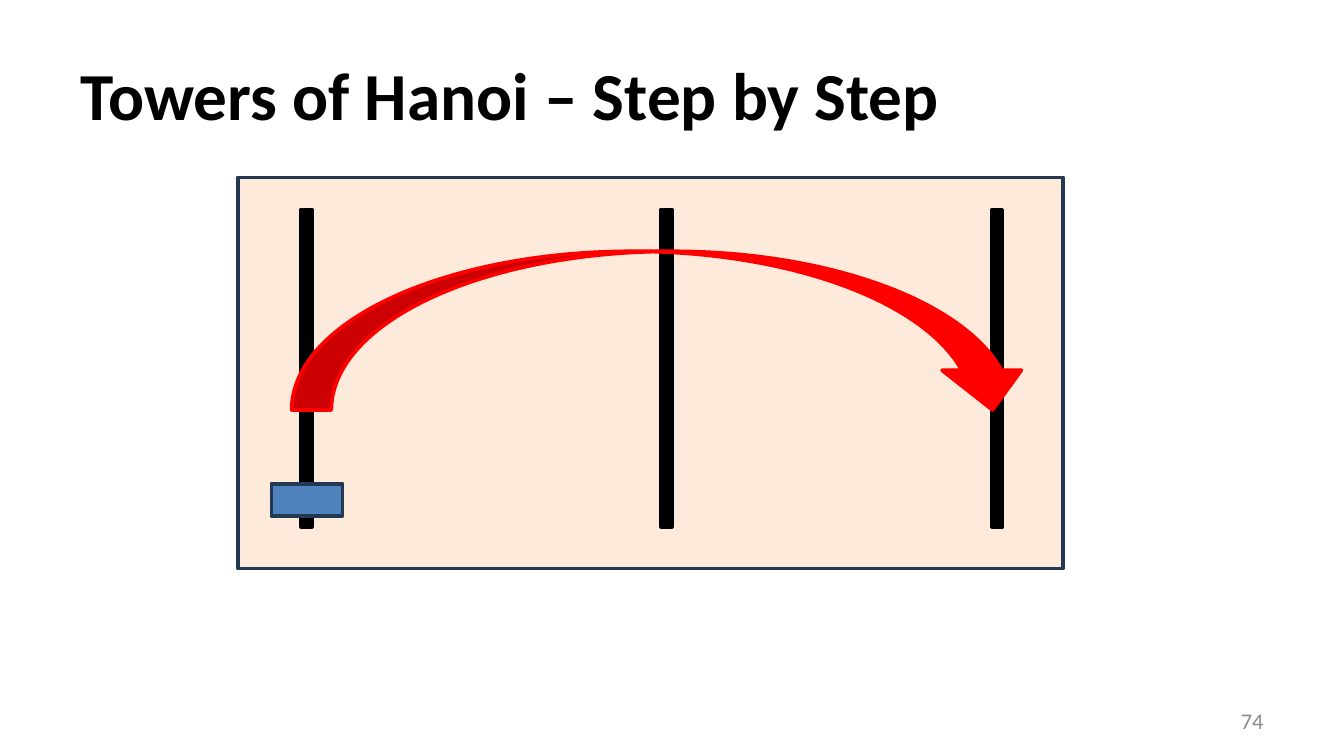
"""Build the Towers of Hanoi slide showing one disk moving to the last rod."""
import pptx
import pptx.dml.color
import pptx.enum.shapes
import pptx.enum.text
import pptx.util

Inches = pptx.util.Inches
RGBColor = pptx.dml.color.RGBColor
Shape = pptx.enum.shapes.MSO_SHAPE
Align = pptx.enum.text.PP_ALIGN

BLACK = RGBColor(0x00, 0x00, 0x00)
GREY = RGBColor(0x8C, 0x8C, 0x8C)
PEACH = RGBColor(0xFD, 0xEA, 0xDA)
NAVY = RGBColor(0x23, 0x39, 0x53)
BLUE = RGBColor(0x4F, 0x81, 0xBD)
RED = RGBColor(0xFF, 0x00, 0x00)

SLIDE_WIDTH = 10
ROD_LEFTS = (2.24, 4.92, 7.38)
ROD_TOP, ROD_WIDTH, ROD_HEIGHT = 1.56, 0.08, 2.36


def write_text(box, text, size, color, bold=False, align=Align.LEFT, font="Calibri"):
    frame = box.text_frame
    frame.word_wrap = True
    frame.auto_size = pptx.enum.text.MSO_AUTO_SIZE.NONE
    frame.vertical_anchor = pptx.enum.text.MSO_ANCHOR.MIDDLE
    para = frame.paragraphs[0]
    para.alignment = align
    span = para.add_run()
    span.text = text
    span.font.name = font
    span.font.size = pptx.util.Pt(size)
    span.font.bold = bold
    span.font.color.rgb = color


class HanoiSlide:
    def __init__(self, deck, line_width=2):
        self.page = deck.slides.add_slide(deck.slide_layouts[5])
        self.board = self.page.shapes.add_group_shape()
        self.line_width = pptx.util.Pt(line_width)

    def title(self, text, left, top, width, height):
        box = self.page.shapes.title
        box.left, box.top = Inches(left), Inches(top)
        box.width, box.height = Inches(width), Inches(height)
        write_text(box, text, size=36, color=BLACK, bold=True)

    def page_number(self, text, left, top, width, height):
        box = self.page.shapes.add_textbox(*map(Inches, (left, top, width, height)))
        write_text(box, text, size=12, color=GREY, align=Align.RIGHT)

    def piece(self, left, top, width, height, fill, line, kind=Shape.RECTANGLE):
        shape = self.board.shapes.add_shape(
            kind, *map(Inches, (left, top, width, height)))
        shape.shadow.inherit = False
        shape.fill.solid()
        shape.fill.fore_color.rgb = fill
        shape.line.color.rgb = line
        shape.line.width = self.line_width

    def rod(self, left):
        self.piece(left, ROD_TOP, ROD_WIDTH, ROD_HEIGHT, fill=BLACK, line=BLACK)


def main():
    deck = pptx.Presentation()
    deck.slide_width = Inches(SLIDE_WIDTH)
    deck.slide_height = Inches(SLIDE_WIDTH * 9 / 16)
    slide = HanoiSlide(deck)
    slide.title("Towers of Hanoi – Step by Step", 0.5, 0.23, 9, 0.94)
    slide.page_number("74", 7.17, 5.21, 2.33, 0.3)
    slide.piece(1.77, 1.32, 6.14, 2.91, fill=PEACH, line=NAVY)
    for left in ROD_LEFTS:
        slide.rod(left)
    slide.piece(2.02, 3.6, 0.53, 0.24, fill=BLUE, line=NAVY)
    slide.piece(2.17, 1.87, 5.51, 1.18, fill=RED, line=RED,
                kind=Shape.CURVED_DOWN_ARROW)
    deck.save("out.pptx")


if __name__ == "__main__":
    main()
